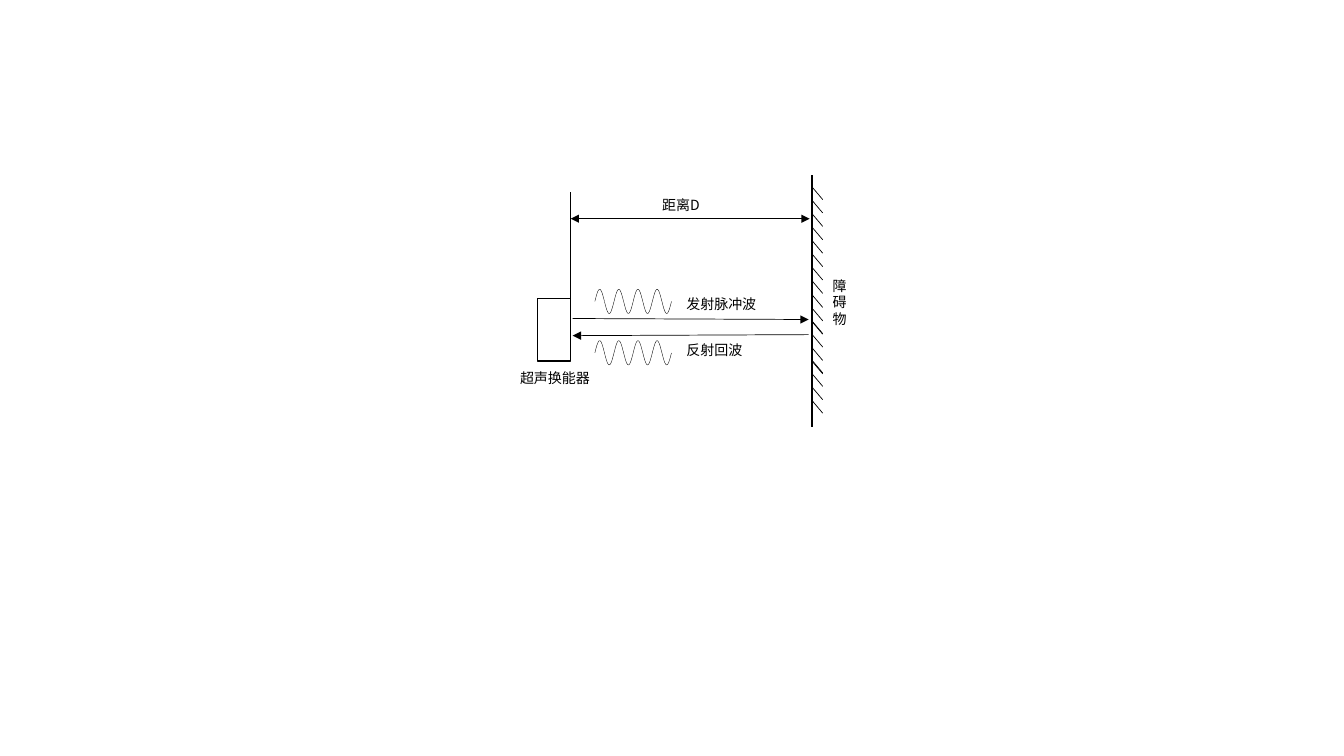
from dataclasses import dataclass
from math import pi, sin

from lxml.etree import SubElement
from pptx import Presentation
from pptx.dml.color import RGBColor
from pptx.enum.shapes import MSO_CONNECTOR as Link, MSO_SHAPE as Preset
from pptx.oxml.ns import qn
from pptx.util import Inches, Pt

COLORS = {"ink": "000000"}
INK = RGBColor.from_string(COLORS["ink"])
FONT = "Noto Sans CJK SC"


@dataclass
class Stroke:
    x1: float
    y1: float
    x2: float
    y2: float
    weight: float = 0.5
    head: bool = False
    tail: bool = False


@dataclass
class Label:
    text: str
    left: float
    top: float
    width: float = 0.96
    height: float = 0.36


@dataclass
class Wave:
    left: float
    middle: float
    length: float = 0.76
    cycles: int = 4
    amplitude: float = 0.12


prs = Presentation()
prs.slide_width, prs.slide_height = Inches(13.33), Inches(7.5)
slide = prs.slides.add_slide(prs.slide_layouts[6])
shapes = slide.shapes


def draw_stroke(stroke: Stroke) -> None:
    ends = (stroke.x1, stroke.y1, stroke.x2, stroke.y2)
    link = shapes.add_connector(Link.STRAIGHT, *map(Inches, ends))
    link.line.color.rgb = INK
    link.line.width = Pt(stroke.weight)
    outline = link.line._get_or_add_ln()
    for tag, wanted in (("a:headEnd", stroke.head), ("a:tailEnd", stroke.tail)):
        if wanted:
            SubElement(outline, qn(tag), type="triangle")
    SubElement(link._element.spPr, qn("a:effectLst"))


def draw_label(label: Label) -> None:
    box = shapes.add_textbox(Inches(label.left), Inches(label.top),
                             Inches(label.width), Inches(label.height))
    box.text_frame.word_wrap = True
    run = box.text_frame.paragraphs[0].add_run()
    run.text = label.text
    run.font.size = Pt(10)
    run.font.name = FONT
    run.font.color.rgb = INK
    SubElement(run._r.get_or_add_rPr(), qn("a:ea"), typeface=FONT)


def draw_wave(wave: Wave, steps: int = 8) -> None:
    """Draw a sine wave as a group of quarter-period arcs."""
    arcs = shapes.add_group_shape().shapes
    quarters = wave.cycles * 4
    for quarter in range(quarters):
        turns = [quarter + i / steps for i in range(steps + 1)]
        points = [(Inches(wave.left + wave.length * t / quarters),
                   Inches(wave.middle - wave.amplitude * sin(pi * t / 2)))
                  for t in turns]
        builder = arcs.build_freeform(*points[0])
        builder.add_line_segments(points[1:], close=False)
        arc = builder.convert_to_shape()
        arc.shadow.inherit = False
        arc.fill.background()
        arc.line.color.rgb = INK
        arc.line.width = Pt(0.25)


# Obstacle: wall and its hatching, in runs of (top, count)
WALL_X = 8.05
HATCH_STEP = 0.133
HATCH_RUNS = ((1.85, 8), (2.92, 3), (3.18, 4), (3.57, 4))
draw_stroke(Stroke(WALL_X, 1.74, WALL_X, 4.24, 1.25))
for run_top, count in HATCH_RUNS:
    for i in range(count):
        top = run_top + i * HATCH_STEP
        draw_stroke(Stroke(WALL_X, top, WALL_X + 0.11, top + 0.13))

# Ultrasonic transducer
transducer = shapes.add_shape(Preset.RECTANGLE, Inches(5.33), Inches(2.96),
                              Inches(0.33), Inches(0.62))
transducer.shadow.inherit = False
transducer.fill.background()
transducer.line.color.rgb = INK
transducer.line.width = Pt(1)

# Pulse, echo and distance arrows
for stroke in (
    Stroke(5.68, 3.16, 8.02, 3.17, tail=True),
    Stroke(8.02, 3.32, 5.68, 3.33, tail=True),
    Stroke(5.66, 2.99, 5.66, 1.9),
    Stroke(5.66, 2.17, 8.03, 2.17, head=True, tail=True),
):
    draw_stroke(stroke)

# Emitted and reflected waves
for middle in (2.99, 3.5):
    draw_wave(Wave(5.9, middle))

# Labels
for label in (
    Label("超声换能器", 5.06, 3.62),
    Label("发射脉冲波", 6.71, 2.88),
    Label("反射回波", 6.71, 3.34),
    Label("距离D", 6.47, 1.9),
    Label("障碍物", 8.16, 2.7, 0.41, 0.8),
):
    draw_label(label)

prs.save("out.pptx")
